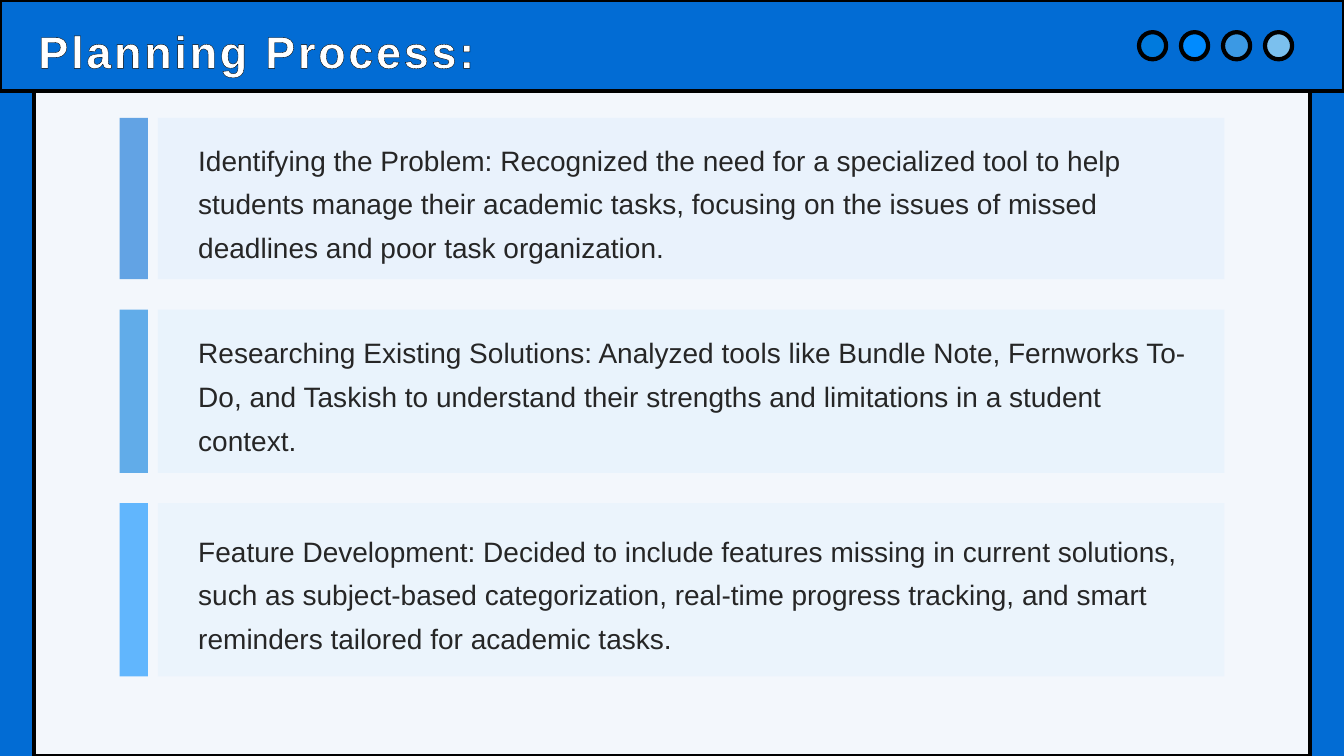
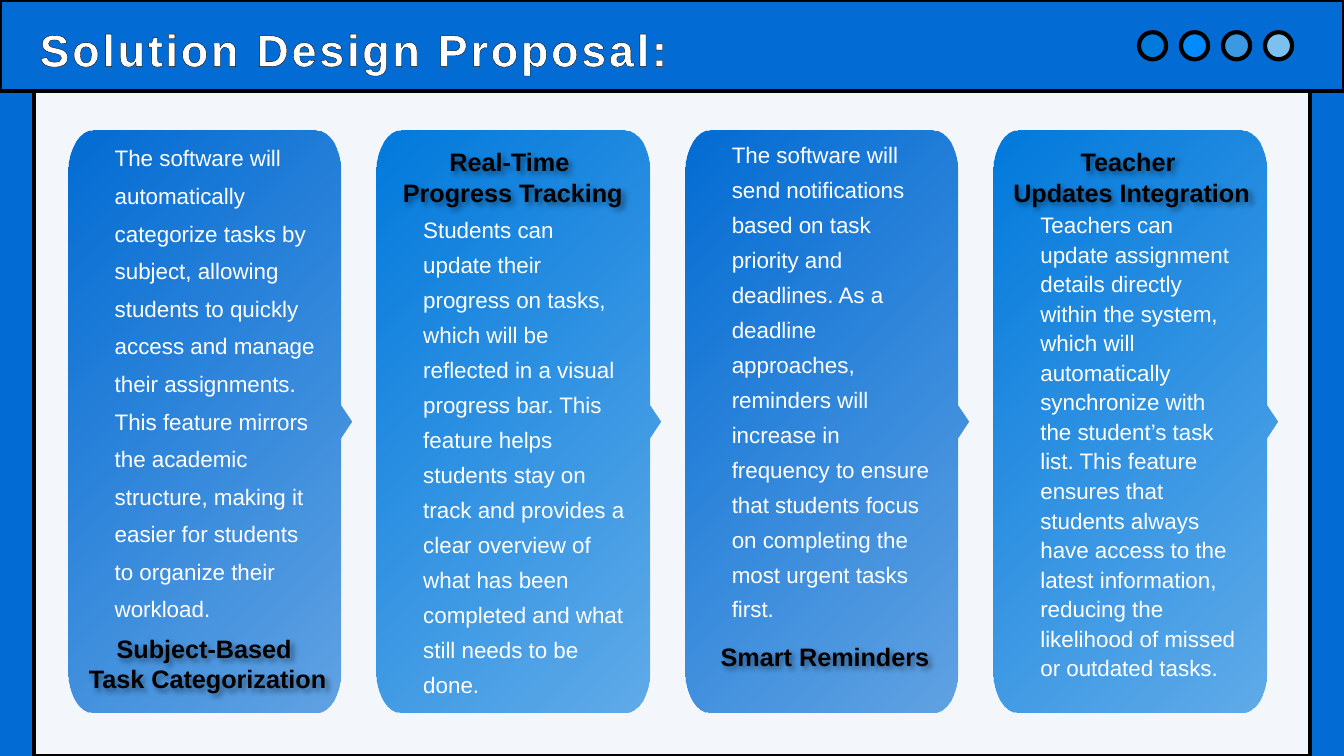
from dataclasses import dataclass
from typing import Any

from lxml import etree
from pptx import Presentation
from pptx import util as u
from pptx.dml.color import RGBColor
from pptx.enum import shapes, text
from pptx.oxml.ns import qn

Pt = u.Pt
BLUE = RGBColor(0x02, 0x6C, 0xD4)
AZURE = RGBColor(0x00, 0x7A, 0xDD)
BRIGHT = RGBColor(0x00, 0x8B, 0xFF)
SKY = RGBColor(0x3B, 0x99, 0xE4)
PALE = RGBColor(0x7B, 0xC0, 0xEE)
PAPER = RGBColor(0xF3, 0xF7, 0xFC)
BLACK = RGBColor(0, 0, 0)
WHITE = RGBColor(255, 255, 255)
INK = RGBColor(0x26, 0x26, 0x26)

RECT = shapes.MSO_SHAPE.RECTANGLE
OVAL = shapes.MSO_SHAPE.OVAL
TOP = text.MSO_ANCHOR.TOP
MID = text.MSO_ANCHOR.MIDDLE
BASE = text.MSO_ANCHOR.BOTTOM
LEFT = text.PP_ALIGN.LEFT
MIDDLE = text.PP_ALIGN.CENTER

WIDE, HIGH = 960, 540
BAND = 65.2

# Font formats
HEAD = {"name": "Arial", "size": Pt(32), "bold": True}
LABEL = {"name": "Arial", "size": Pt(18), "bold": True}
NOTE = {"name": "Arial", "size": Pt(20)}
BODY = {"name": "Arial", "size": Pt(16)}


@dataclass(frozen=True)
class Box:
    x: float
    y: float
    w: float
    h: float


@dataclass(frozen=True)
class Step:
    top: float
    high: float
    tint: RGBColor
    bar: RGBColor
    words: str


@dataclass(frozen=True)
class Card:
    hue: RGBColor
    label: tuple[str, ...]
    spot: Box
    anchor: Any
    inset: float
    pad: float
    pitch: float
    words: str


STEPS = (
    Step(84.2, 115.2, RGBColor(0xC4, 0xE2, 0xFE), BLUE,
         "Identifying the Problem: Recognized the need for a specialized tool "
         "to help students manage their academic tasks, focusing on the issues "
         "of missed deadlines and poor task organization."),
    Step(221.2, 116.6, RGBColor(0xC5, 0xE5, 0xFF), AZURE,
         "Researching Existing Solutions: Analyzed tools like Bundle Note, "
         "Fernworks To-Do, and Taskish to understand their strengths and "
         "limitations in a student context."),
    Step(359.3, 123.8, RGBColor(0xCC, 0xE8, 0xFF), BRIGHT,
         "Feature Development: Decided to include features missing in current "
         "solutions, such as subject-based categorization, real-time progress "
         "tracking, and smart reminders tailored for academic tasks."),
)

CARDS = (
    Card(BLUE, ("Subject-Based ", "Task Categorization"),
         Box(60.5, 448.5, 175.7, 51), BASE, 36.7, 26, 26.85,
         "The software will automatically categorize tasks by subject, allowing "
         "students to quickly access and manage their assignments. This feature "
         "mirrors the academic structure, making it easier for students to "
         "organize their workload."),
    Card(AZURE, ("Real-Time ", "Progress Tracking"),
         Box(279.2, 101.2, 174.2, 50.4), TOP, 55.5, 24.5, 24.97,
         "Students can update their progress on tasks, which will be reflected "
         "in a visual progress bar. This feature helps students stay on track "
         "and provides a clear overview of what has been completed and what "
         "still needs to be done."),
    Card(BLUE, ("Smart Reminders",),
         Box(502.2, 443.5, 174.2, 50.4), BASE, 36.7, 23.8, 24.97,
         "The software will send notifications based on task priority and "
         "deadlines. As a deadline approaches, reminders will increase in "
         "frequency to ensure that students focus on completing the most "
         "urgent tasks first."),
    Card(AZURE, ("Teacher ", "Updates Integration"),
         Box(721.2, 101.2, 174.2, 50.4), TOP, 56, 26.6, 21.08,
         "Teachers can update assignment details directly within the system, "
         "which will automatically synchronize with the student’s task list. "
         "This feature ensures that students always have access to the latest "
         "information, reducing the likelihood of missed or outdated tasks."),
)


def put(item: Any, vals: dict[str, Any]) -> None:
    for key, val in vals.items():
        setattr(item, key, val)


def fade(shape: Any, part: int) -> None:
    """Make the last fill colour of a shape part transparent."""
    tone = list(shape.element.iter(qn("a:srgbClr")))[-1]
    etree.SubElement(tone, qn("a:alpha")).set("val", str(part * 1000))


def write(shape: Any, lines: tuple[str, ...], font: dict[str, Any],
          hue: RGBColor, pads: tuple[float, ...] = (0, 0, 0, 0),
          anchor: Any = MID, align: Any = LEFT,
          pitch: float | None = None, wrap: bool = True) -> None:
    frame = shape.text_frame
    left, top, right, base = map(Pt, pads)
    put(frame, {"margin_left": left, "margin_top": top,
                "margin_right": right, "margin_bottom": base,
                "vertical_anchor": anchor, "word_wrap": wrap})
    for i, line in enumerate(lines):
        para = frame.add_paragraph() if i else frame.paragraphs[0]
        para.alignment = align
        if pitch:
            para.line_spacing = Pt(pitch)
        run = para.add_run()
        run.text = line
        put(run.font, font)
        run.font.color.rgb = hue


def block(slide: Any, kind: Any, box: Box, hue: RGBColor,
          edge: bool = False, part: int = 100) -> Any:
    shape = slide.shapes.add_shape(kind, *map(Pt, (box.x, box.y, box.w, box.h)))
    shape.shadow.inherit = False
    shape.fill.solid()
    shape.fill.fore_color.rgb = hue
    if part < 100:
        fade(shape, part)
    if edge:
        shape.line.color.rgb = BLACK
        shape.line.width = Pt(3)
    else:
        shape.line.fill.background()
    return shape


def label(slide: Any, box: Box) -> Any:
    return slide.shapes.add_textbox(*map(Pt, (box.x, box.y, box.w, box.h)))


def start(deck: Any, title: str, x: float, y: float) -> Any:
    """Add a slide with the shared frame and title."""
    slide = deck.slides.add_slide(deck.slide_layouts[6])
    block(slide, RECT, Box(0, 0, WIDE, HIGH), BLUE)
    block(slide, RECT, Box(0, 0, WIDE, BAND), BLUE, True)
    block(slide, RECT, Box(24, BAND, 912, HIGH - BAND), PAPER, True)
    for i, hue in enumerate((AZURE, BRIGHT, SKY, PALE)):
        block(slide, OVAL, Box(813.6 + 30 * i, 23, 19.4, 19.4), hue, True)
    head = label(slide, Box(x, y, 850.3, 57))
    write(head, (title,), HEAD, WHITE)
    # Letter spacing and outline
    props = head.text_frame.paragraphs[0].runs[0].font._element
    props.set("spc", "200")
    line = etree.Element(qn("a:ln"), w=str(Pt(0.75)))
    fill = etree.SubElement(line, qn("a:solidFill"))
    etree.SubElement(fill, qn("a:srgbClr")).set("val", str(BLACK))
    props.insert(0, line)
    return slide


def outline(slide: Any, x: float, y: float) -> Any:
    """Draw a round-cornered card with a tip on its right edge."""
    w, h, rx, ry = 194.5, 415.8, 17.6, 28.8
    half, tip = 12, 7.8
    dots = ((w - rx, 0), (w, ry), (w, h / 2 - half), (w + tip, h / 2),
            (w, h / 2 + half), (w, h - ry), (w - rx, h), (rx, h),
            (0, h - ry), (0, ry), (rx, 0))
    bends = {1: (w, 0), 6: (w, h), 8: (0, h), 10: (0, 0)}
    pen = slide.shapes.build_freeform(Pt(x + rx), Pt(y))
    pen.add_line_segments([(Pt(x + dx), Pt(y + dy)) for dx, dy in dots])
    shape = pen.convert_to_shape()
    # Turn the corner lines into curves
    lines = list(shape.element.iter(qn("a:lnTo")))
    for i, (cx, cy) in bends.items():
        line = lines[i]
        line.tag = qn("a:cubicBezTo")
        for j, (px, py) in enumerate((dots[i - 1], dots[i])):
            spot = etree.Element(qn("a:pt"))
            spot.set("x", str(Pt(px + 0.55 * (cx - px))))
            spot.set("y", str(Pt(py + 0.55 * (cy - py))))
            line.insert(j, spot)
    return shape


def glow(shape: Any) -> None:
    """Give a heading its soft shadow."""
    props = shape.element.find(qn("p:spPr"))
    group = etree.SubElement(props, qn("a:effectLst"))
    cast = etree.SubElement(group, qn("a:outerShdw"))
    for key, val in {"blurRad": Pt(4), "dist": Pt(3), "dir": 2700000}.items():
        cast.set(key, str(val))
    tone = etree.SubElement(cast, qn("a:srgbClr"), val=str(BLACK))
    etree.SubElement(tone, qn("a:alpha")).set("val", "40000")


def panel(slide: Any, x: float, card: Card) -> None:
    shape = outline(slide, x, 93.1)
    shape.shadow.inherit = False
    shape.line.fill.background()
    shape.fill.gradient()
    shape.fill.gradient_angle = 315
    for i, stop in enumerate(shape.fill.gradient_stops):
        stop.position = float(i)
        stop.color.rgb = card.hue
    fade(shape, 60)
    write(shape, (card.words,), BODY, WHITE, (33.1, card.inset, card.pad, 64.3),
          card.anchor, pitch=card.pitch)
    name = label(slide, card.spot)
    write(name, card.label, LABEL, BLACK, align=MIDDLE, pitch=21.6, wrap=False)
    glow(name)


def main() -> None:
    deck = Presentation()
    put(deck, {"slide_width": Pt(WIDE), "slide_height": Pt(HIGH)})

    # Planning steps
    slide = start(deck, "Planning Process:", 27.5, 7.5)
    for step in STEPS:
        note = block(slide, RECT, Box(112.8, step.top, 761.8, step.high),
                     step.tint, part=20)
        write(note, (step.words,), NOTE, INK, (28.8, 10.8, 18, 10.8), pitch=31.15)
        block(slide, RECT, Box(85.5, step.top, 20.2, step.high),
              step.bar, part=60)

    # Feature cards
    slide = start(deck, "Solution Design Proposal:", 28.3, 6.3)
    for i, card in enumerate(CARDS):
        panel(slide, 48.8 + 220.4 * i, card)

    deck.save("out.pptx")


if __name__ == "__main__":
    main()
